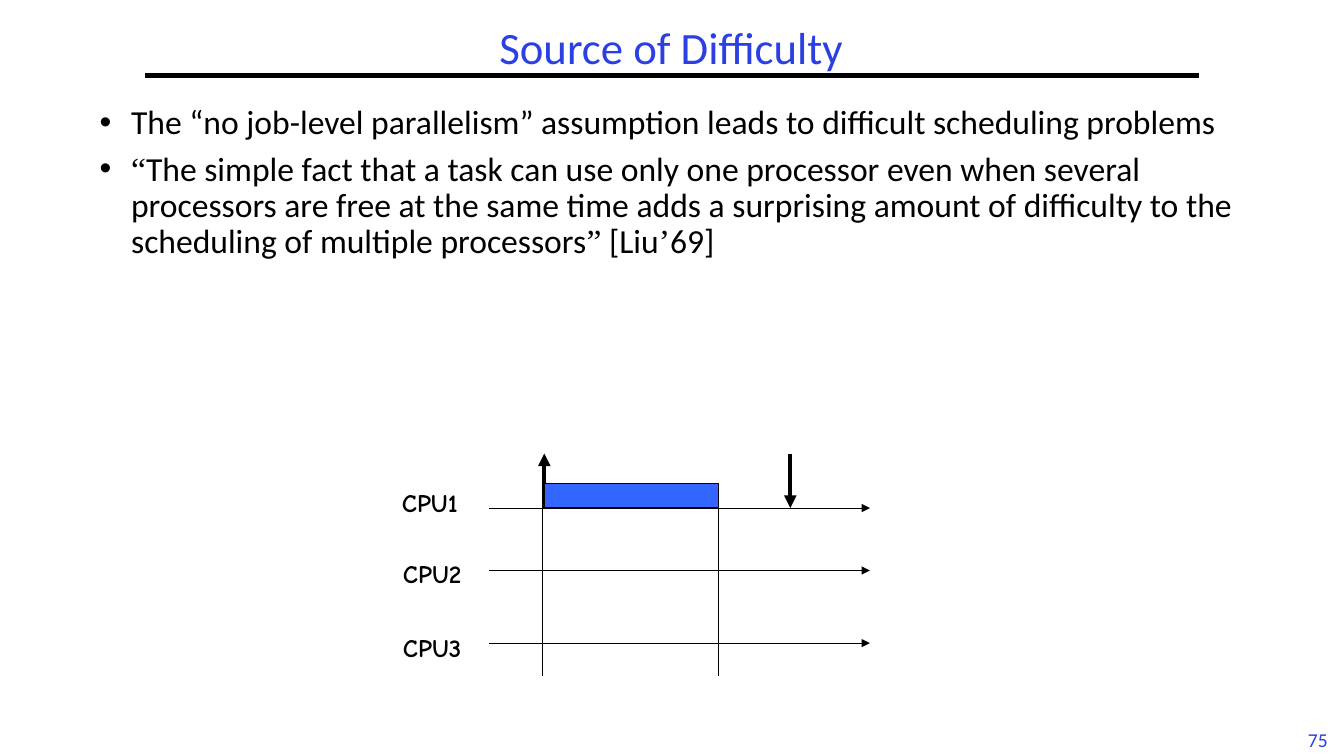
"""Build the slide on the difficulty of multiprocessor scheduling."""
from lxml import etree
from pptx import Presentation
from pptx.dml.color import RGBColor
from pptx.enum.shapes import MSO_CONNECTOR, MSO_SHAPE
from pptx.enum.text import MSO_ANCHOR, PP_ALIGN
from pptx.oxml.ns import qn
from pptx.util import Pt

STRAIGHT = MSO_CONNECTOR.STRAIGHT
RECTANGLE = MSO_SHAPE.RECTANGLE
TOP, MIDDLE = MSO_ANCHOR.TOP, MSO_ANCHOR.MIDDLE
LEFT, CENTER = PP_ALIGN.LEFT, PP_ALIGN.CENTER
COLORS = {"black": "000000", "heading": "2A40E2", "job": "3366FF"}
BODY_FONT, QUOTE_FONT, LABEL_FONT = "Calibri", "Times New Roman", "Comic Neue"

BULLETS = [
    [("The “no job-level parallelism” assumption leads to difficult scheduling problems", BODY_FONT)],
    [
        ("“", QUOTE_FONT),
        ("The simple fact that a task can use only one processor even when several "
         "processors are free at the same time adds a surprising amount of difficulty "
         "to the scheduling of multiple processors", BODY_FONT),
        ("”", QUOTE_FONT),
        (" [Liu", BODY_FONT),
        ("’", QUOTE_FONT),
        ("69]", BODY_FONT),
    ],
]
CPU_ROWS = [("CPU1", 280, 344.9, 362.9), ("CPU2", 280.8, 395.3, 407.5), ("CPU3", 280.8, 447.8, 459.4)]
AXIS_START, AXIS_END = 349.2, 621.4
JOB_START, JOB_END, DEADLINE = 388.8, 513.4, 564.5
ARROW_TOP, JOB_TOP, JOB_BOTTOM = 324, 345.6, 362.9
GUIDE_TOP, GUIDE_BOTTOM = 363.6, 483.1


def color(name):
    return RGBColor.from_string(COLORS[name])


def add_text_frame(slide, left, top, width, height, wrap=True, anchor=TOP):
    box = slide.shapes.add_textbox(Pt(left), Pt(top), Pt(width), Pt(height))
    frame = box.text_frame
    frame.word_wrap = wrap
    frame.vertical_anchor = anchor
    return frame


def style(paragraph, size, color_name, font_name=None, bold=None):
    font = paragraph.font
    font.size = Pt(size)
    font.color.rgb = color(color_name)
    font.name = font_name
    font.bold = bold


def add_label(slide, text, box, size, color_name, font_name, align=LEFT, bold=None, wrap=False, anchor=TOP):
    paragraph = add_text_frame(slide, *box, wrap, anchor).paragraphs[0]
    paragraph.text = text
    paragraph.alignment = align
    style(paragraph, size, color_name, font_name, bold)


def add_bullets(slide, items, box):
    frame = add_text_frame(slide, *box)
    for index, runs in enumerate(items):
        paragraph = frame.add_paragraph() if index else frame.paragraphs[0]
        paragraph.line_spacing = 0.9
        if index:
            paragraph.space_before = Pt(7.2)
        properties = paragraph._p.get_or_add_pPr()
        properties.set("marL", str(Pt(22.5)))
        properties.set("indent", str(Pt(-22.5)))
        etree.SubElement(properties, qn("a:buFont"), typeface="Arial")
        etree.SubElement(properties, qn("a:buChar"), char="•")
        style(paragraph, 24, "black")
        for text, font_name in runs:
            run = paragraph.add_run()
            run.text = text
            run.font.name = font_name


def add_line(slide, start, end, width=0.75, arrow=False):
    line = slide.shapes.add_connector(STRAIGHT, *map(Pt, start + end))
    line.line.color.rgb = color("black")
    line.line.width = Pt(width)
    if arrow:
        etree.SubElement(line.line._get_or_add_ln(), qn("a:tailEnd"), type="triangle")
    etree.SubElement(line._element.spPr, qn("a:effectLst"))


def add_job(slide):
    job = slide.shapes.add_shape(RECTANGLE, Pt(JOB_START), Pt(JOB_TOP),
                                 Pt(JOB_END - JOB_START), Pt(JOB_BOTTOM - JOB_TOP))
    job.shadow.inherit = False
    job.fill.solid()
    job.fill.fore_color.rgb = color("job")
    job.line.color.rgb = color("black")
    job.line.width = Pt(0.75)


def add_schedule(slide):
    for name, left, top, axis in CPU_ROWS:
        add_line(slide, (AXIS_START, axis), (AXIS_END, axis), arrow=True)
        add_label(slide, name, (left, top, 59.8, 28.8), 18, "black", LABEL_FONT, bold=True)
    add_line(slide, (DEADLINE, ARROW_TOP), (DEADLINE, JOB_BOTTOM), 3, arrow=True)
    add_line(slide, (JOB_START, JOB_BOTTOM), (JOB_START, ARROW_TOP), 3, arrow=True)
    add_job(slide)
    for guide in (387.4, JOB_END):
        add_line(slide, (guide, GUIDE_TOP), (guide, GUIDE_BOTTOM))


def main():
    presentation = Presentation()
    presentation.slide_width, presentation.slide_height = Pt(960), Pt(540)
    slide = presentation.slides.add_slide(presentation.slide_layouts[6])
    add_label(slide, "75", (925.9, 516.2, 31, 23.8), 14, "heading", BODY_FONT, CENTER)
    add_line(slide, (103.7, 54), (856.1, 54), 3)
    add_label(slide, "Source of Difficulty", (103.7, 12.2, 751.7, 41.8), 32, "heading",
              BODY_FONT, CENTER, wrap=True, anchor=MIDDLE)
    add_bullets(slide, BULLETS, (64.1, 72, 832.3, 401.8))
    add_schedule(slide)
    presentation.save("out.pptx")


if __name__ == "__main__":
    main()
